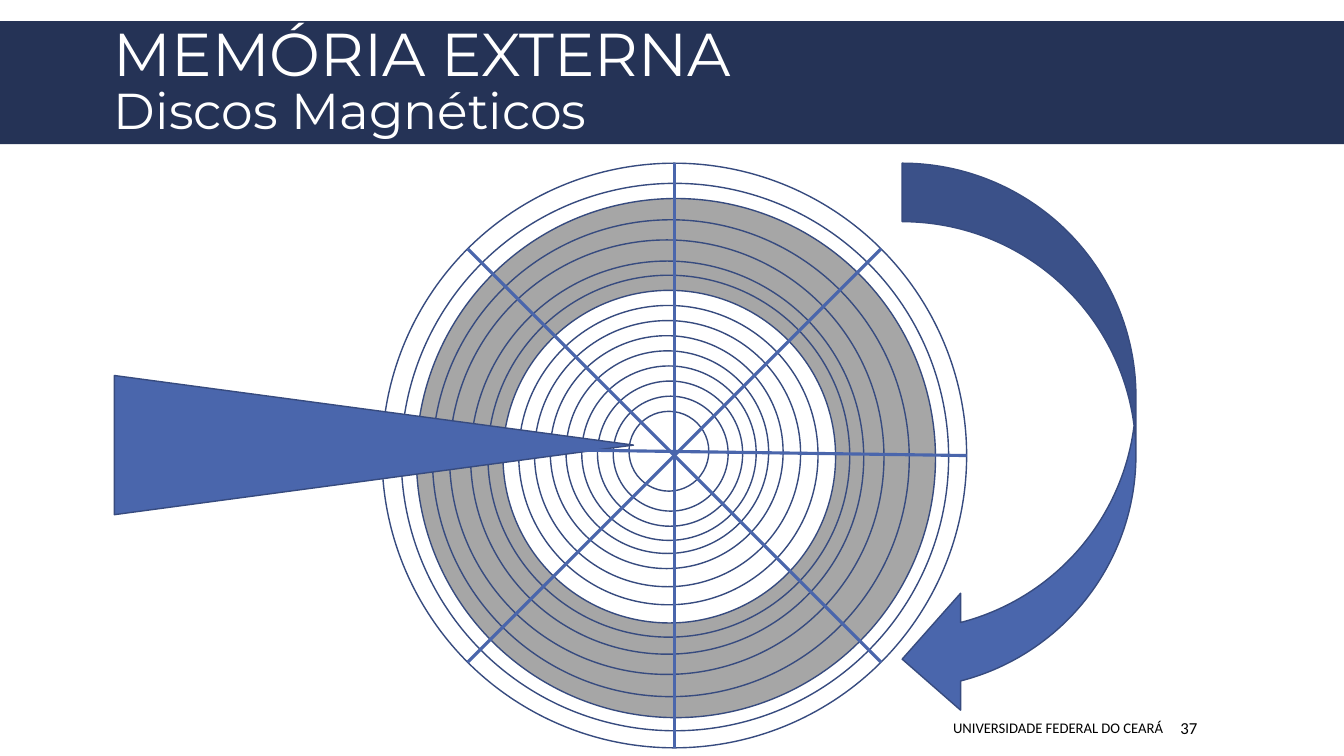
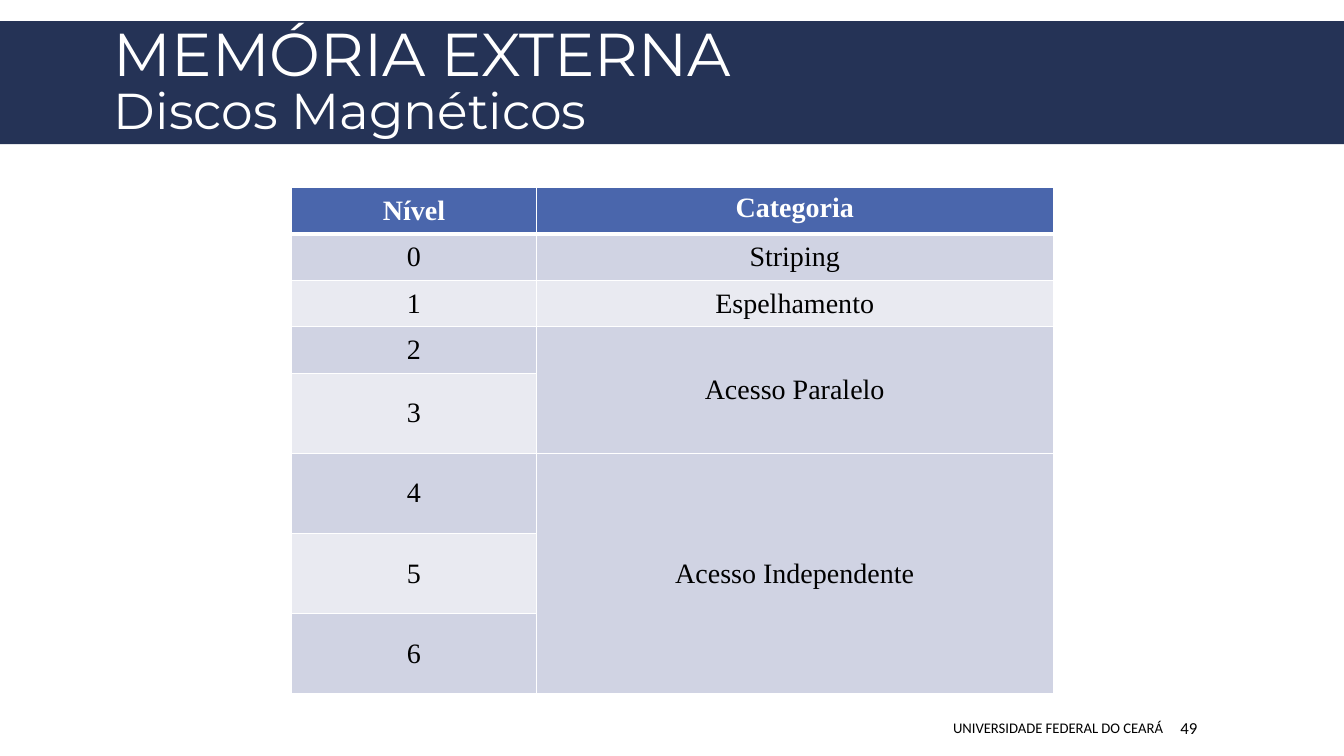
import math

import lxml.etree
import pptx
import pptx.dml.color
import pptx.enum.shapes
import pptx.enum.text
import pptx.oxml
import pptx.oxml.ns
import pptx.util

Pt = pptx.util.Pt
RGBColor = pptx.dml.color.RGBColor
MSO_SHAPE = pptx.enum.shapes.MSO_SHAPE
PP_ALIGN = pptx.enum.text.PP_ALIGN
MSO_ANCHOR = pptx.enum.text.MSO_ANCHOR
qn = pptx.oxml.ns.qn

NAVY = RGBColor(0x25, 0x33, 0x56)
BLUE = RGBColor(0x4A, 0x66, 0xAC)
OUTLINE = RGBColor(0x37, 0x4B, 0x7F)
GRAY = RGBColor(0xA6, 0xA6, 0xA6)
WHITE = RGBColor(0xFF, 0xFF, 0xFF)
BLACK = RGBColor(0, 0, 0)
ROW_DARK = RGBColor(0xD0, 0xD3, 0xE3)
ROW_LIGHT = RGBColor(0xE9, 0xEA, 0xF1)

TITLE_LINES = [("MEMÓRIA EXTERNA", 43.2), ("Discos Magnéticos", 36)]
FOOTER = "UNIVERSIDADE FEDERAL DO CEARÁ"

OUTER_TRACKS = [
    (272.9, 116.6, 417.6, WHITE),
    (286.6, 131, 391, WHITE),
    (297.4, 141.8, 370.8, GRAY),
    (308.9, 157, 340.6, GRAY),
    (321.1, 171.4, 310.3, GRAY),
    (336.2, 186.5, 280.8, GRAY),
    (348.5, 196.6, 258.5, GRAY),
]
INNER_DIAMETERS = [237.6, 213.8, 190.1, 166.3, 144.7, 124.6, 103.7, 82.1, 57]
INNER_LEFT, INNER_TOP = 359.3, 207.4
INNER_STEP_X, INNER_STEP_Y = 11.25, 10.8
DISK_X, DISK_Y, DISK_RADIUS = 481.7, 325.4, 208.8
SPOKE_ANGLES = [(90, 270), (0, 178.4), (45, 225), (135, 315)]

TABLE_HEADER = ("Nível", "Categoria")
LEVELS = ["0", "1", "2", "3", "4", "5", "6"]
CATEGORIES = [("Striping", 1), ("Espelhamento", 1), ("Acesso Paralelo", 2), ("Acesso Independente", 3)]
COLUMN_WIDTHS = [174.6, 369.4]
ROW_HEIGHTS = [33.1] * 4 + [57.3] * 4


def add_run(paragraph, text, size, font, color, bold=False):
    run = paragraph.add_run()
    run.text = text
    run.font.size = Pt(size)
    run.font.name = font
    run.font.bold = bold
    run.font.color.rgb = color


def add_filled_shape(slide, kind, box, fill, outline=None):
    shape = slide.shapes.add_shape(kind, *map(Pt, box))
    shape.shadow.inherit = False
    shape.fill.solid()
    shape.fill.fore_color.rgb = fill
    if outline is None:
        shape.line.fill.background()
    else:
        shape.line.color.rgb = outline
        shape.line.width = Pt(1)
    return shape


def add_footer_text(slide, box, text, size, alignment, left_inset):
    frame = slide.shapes.add_textbox(*map(Pt, box)).text_frame
    frame.word_wrap = True
    frame.vertical_anchor = MSO_ANCHOR.MIDDLE
    frame.margin_left = Pt(left_inset)
    paragraph = frame.paragraphs[0]
    paragraph.alignment = alignment
    add_run(paragraph, text, size, "Calibri", BLACK)


def prepare_layout(layout):
    for placeholder in layout.placeholders:
        if placeholder.placeholder_format.idx == 0:
            placeholder.left, placeholder.top = Pt(74.2), Pt(18)
            placeholder.width, placeholder.height = Pt(815.8), Pt(83.5)


def move_to_layout(shape, layout):
    layout.shapes.element.insert(2, shape.element)


def add_base_slide(presentation, layout, number):
    slide = presentation.slides.add_slide(layout)
    frame = slide.shapes.title.text_frame
    frame.auto_size = pptx.enum.text.MSO_AUTO_SIZE.NONE
    frame.vertical_anchor = MSO_ANCHOR.MIDDLE
    paragraph = frame.paragraphs[0]
    paragraph.alignment = PP_ALIGN.LEFT
    paragraph.line_spacing = 0.85
    for index, (text, size) in enumerate(TITLE_LINES):
        if index:
            paragraph.add_line_break()
        add_run(paragraph, text, size, "Montserrat", WHITE)
    add_footer_text(slide, (440.6, 505.4, 397.4, 28.8), FOOTER, 10.5, PP_ALIGN.RIGHT, 7.2)
    add_footer_text(slide, (839.5, 505.4, 74.2, 28.8), number, 12, PP_ALIGN.LEFT, 3.6)
    return slide


def disk_point(angle):
    radians = math.radians(angle)
    return (Pt(DISK_X + DISK_RADIUS * math.cos(radians)),
            Pt(DISK_Y - DISK_RADIUS * math.sin(radians)))


def draw_disk(slide):
    inner_tracks = [
        (INNER_LEFT + index * INNER_STEP_X, INNER_TOP + index * INNER_STEP_Y, diameter, WHITE)
        for index, diameter in enumerate(INNER_DIAMETERS)
    ]
    for left, top, diameter, fill in OUTER_TRACKS + inner_tracks:
        add_filled_shape(slide, MSO_SHAPE.OVAL, (left, top, diameter, diameter), fill, OUTLINE)
    head = add_filled_shape(slide, MSO_SHAPE.ISOSCELES_TRIANGLE,
                            (217.4, 132.5, 99.4, 370.8), BLUE, OUTLINE)
    head.rotation = 90
    add_filled_shape(slide, MSO_SHAPE.CURVED_LEFT_ARROW, (644.4, 116.6, 167, 396), BLUE, OUTLINE)
    for start, end in SPOKE_ANGLES:
        spoke = slide.shapes.add_connector(pptx.enum.shapes.MSO_CONNECTOR.STRAIGHT,
                                           *disk_point(start), *disk_point(end))
        spoke.line.color.rgb = BLUE
        spoke.line.width = Pt(2.25)
        lxml.etree.SubElement(spoke.element.spPr, qn("a:effectLst"))


def set_borders(cell, top, bottom):
    properties = cell._tc.get_or_add_tcPr()
    widths = [("a:lnL", 1), ("a:lnR", 1), ("a:lnT", top), ("a:lnB", bottom)]
    for position, (tag, width) in enumerate(widths):
        line = lxml.etree.Element(qn(tag), w=str(Pt(width)))
        fill = lxml.etree.SubElement(line, qn("a:solidFill"))
        lxml.etree.SubElement(fill, qn("a:srgbClr"), val=str(WHITE))
        properties.insert(position, line)


def write_cell(cell, text, color=BLACK, bold=False, anchor=MSO_ANCHOR.MIDDLE):
    cell.vertical_anchor = anchor
    paragraph = cell.text_frame.paragraphs[0]
    paragraph.alignment = PP_ALIGN.CENTER
    add_run(paragraph, text, 20, "Times New Roman", color, bold)


def draw_table(slide):
    table = slide.shapes.add_table(len(ROW_HEIGHTS), len(COLUMN_WIDTHS), Pt(208.4), Pt(134.2),
                                   Pt(sum(COLUMN_WIDTHS)), Pt(sum(ROW_HEIGHTS))).table
    for column, width in zip(table.columns, COLUMN_WIDTHS):
        column.width = Pt(width)
    for row_index, (row, height) in enumerate(zip(table.rows, ROW_HEIGHTS)):
        row.height = Pt(height)
        for cell in row.cells:
            cell.fill.solid()
            cell.fill.fore_color.rgb = (
                BLUE if row_index == 0 else ROW_DARK if row_index % 2 else ROW_LIGHT)
            set_borders(cell, 3 if row_index == 1 else 1, 3 if row_index == 0 else 1)
    anchors = (MSO_ANCHOR.MIDDLE, MSO_ANCHOR.TOP)
    for column_index, (text, anchor) in enumerate(zip(TABLE_HEADER, anchors)):
        write_cell(table.cell(0, column_index), text, WHITE, True, anchor)
    for row_index, level in enumerate(LEVELS, 1):
        write_cell(table.cell(row_index, 0), level)
    row_index = 1
    for category, span in CATEGORIES:
        cell = table.cell(row_index, 1)
        if span > 1:
            cell.merge(table.cell(row_index + span - 1, 1))
        write_cell(cell, category)
        row_index += span


def main():
    presentation = pptx.Presentation()
    presentation.slide_width, presentation.slide_height = Pt(960), Pt(540)
    layout = presentation.slide_layouts[5]
    prepare_layout(layout)
    disk_slide = add_base_slide(presentation, layout, "37")
    band = add_filled_shape(disk_slide, MSO_SHAPE.RECTANGLE, (0, 15.1, 960, 87.8), NAVY)
    move_to_layout(band, layout)
    draw_disk(disk_slide)
    draw_table(add_base_slide(presentation, layout, "49"))
    presentation.save("out.pptx")


if __name__ == "__main__":
    main()
